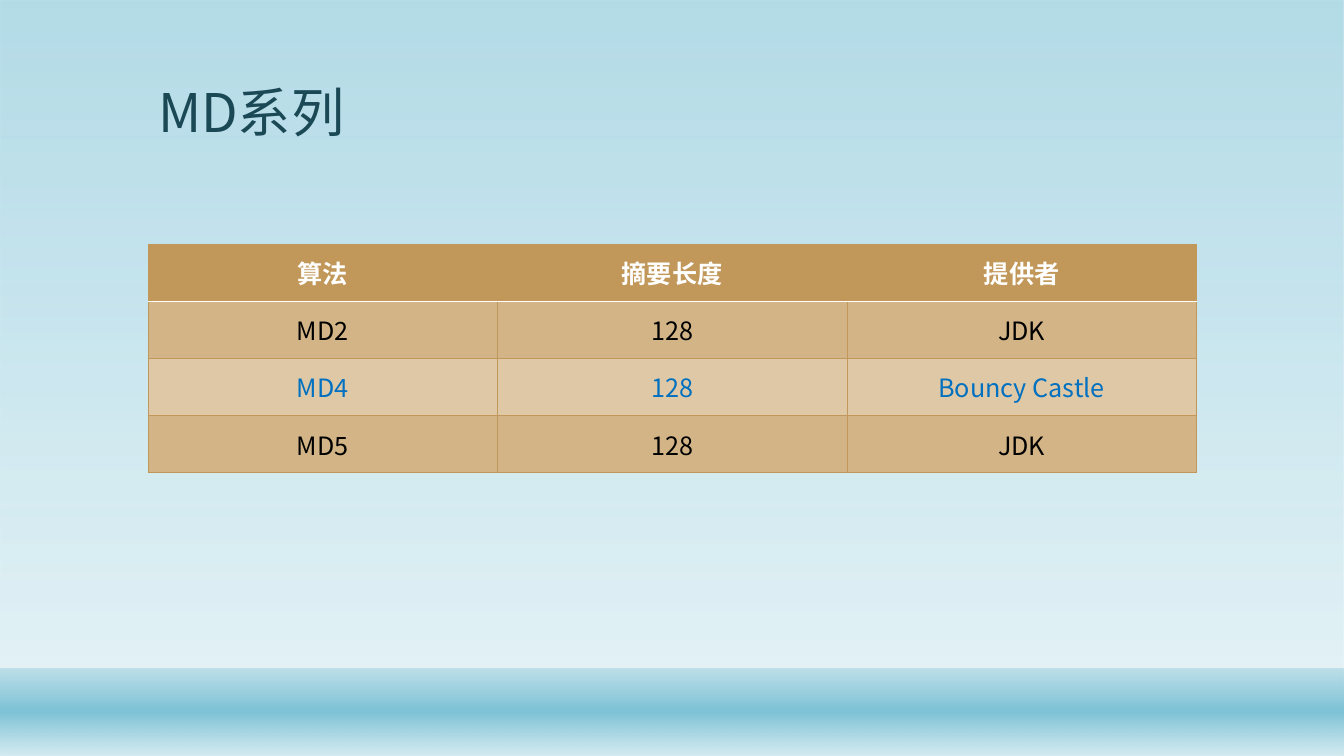
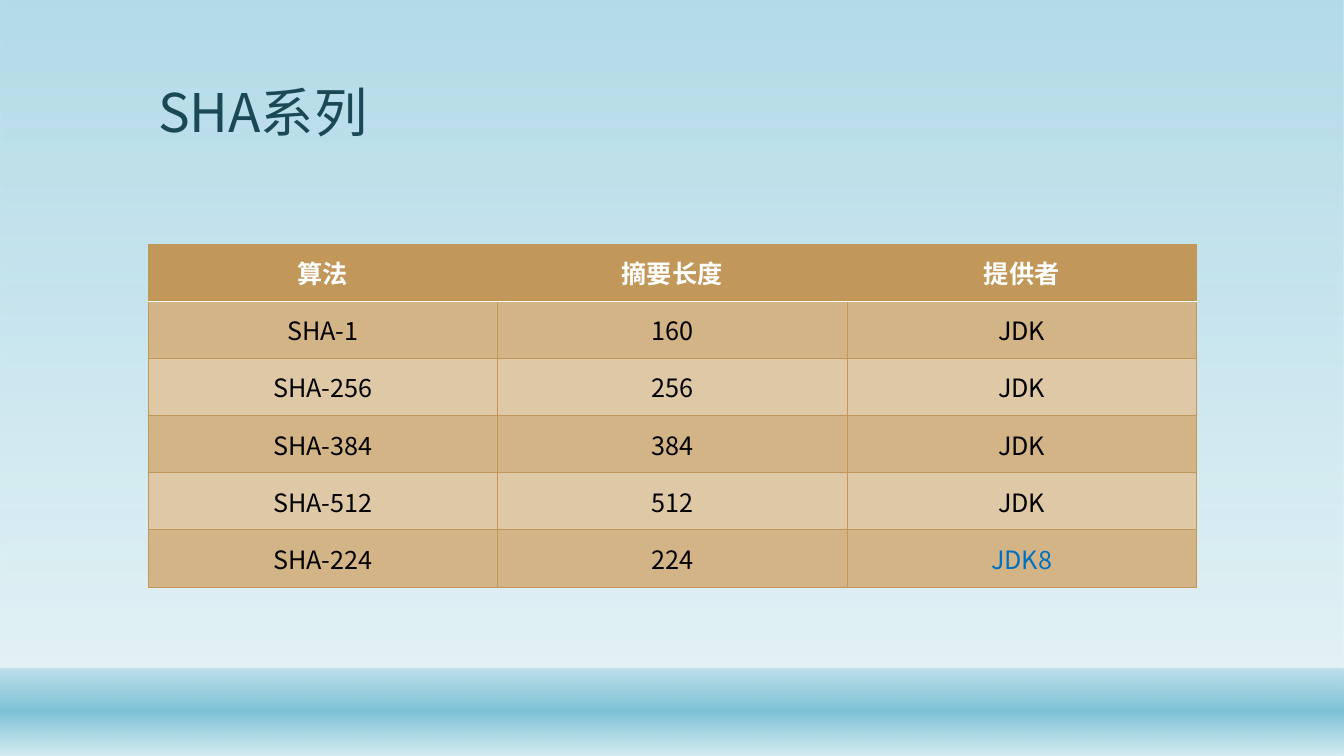
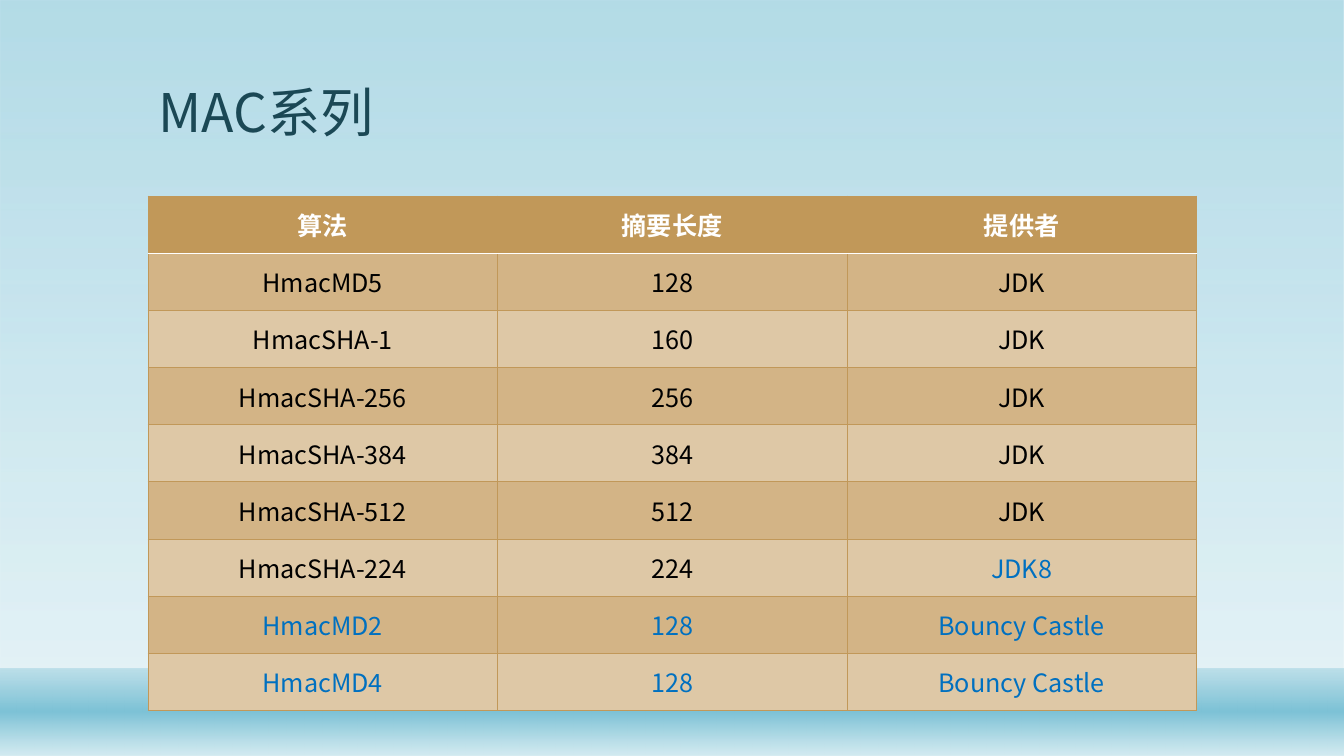
import pptx
import pptx.dml.color
import pptx.enum.shapes
import pptx.enum.text
import pptx.oxml
import pptx.oxml.ns
import pptx.util
from lxml import etree

Cm = pptx.util.Cm
Pt = pptx.util.Pt

COLORS = {
    "sky": "7DC2D6",
    "mist": "D4EBF1",
    "title": "1B4855",
    "header": "C19859",
    "dark_row": "D3B486",
    "light_row": "DEC8A6",
    "white": "FFFFFF",
    "black": "000000",
    "highlight": "0070C0",
}
FONT = "Noto Sans CJK SC"
HEADINGS = ("算法", "摘要长度", "提供者")
THIRD_PARTY = "Bouncy Castle"


def rgb(color):
    return pptx.dml.color.RGBColor.from_string(COLORS[color])


def write_text(text_frame, text, size=18, color="black", bold=False,
               alignment=pptx.enum.text.PP_ALIGN.LEFT, line_spacing=1.0):
    paragraph = text_frame.paragraphs[0]
    paragraph.alignment = alignment
    paragraph.line_spacing = line_spacing
    run = paragraph.add_run()
    run.text = text
    run.font.name = FONT
    run.font.size = Pt(size)
    run.font.bold = bold
    run.font.color.rgb = rgb(color)
    east_asian = etree.SubElement(run.font._element, pptx.oxml.ns.qn("a:ea"))
    east_asian.set("typeface", FONT)


class Deck:
    def __init__(self):
        self.presentation = pptx.Presentation()
        self.presentation.slide_width = Cm(33.87)
        self.presentation.slide_height = Cm(19.05)
        self.layout = self.presentation.slide_layouts[5]
        self.slide = None

    def add_slide(self, title):
        self.slide = self.presentation.slides.add_slide(self.layout)
        shape = self.slide.shapes.title
        shape.left, shape.top = Cm(3.73), Cm(0.74)
        shape.width, shape.height = Cm(26.42), Cm(3.02)
        text_frame = shape.text_frame
        text_frame.word_wrap = True
        text_frame.auto_size = pptx.enum.text.MSO_AUTO_SIZE.NONE
        text_frame.vertical_anchor = pptx.enum.text.MSO_ANCHOR.BOTTOM
        write_text(text_frame, title, size=38, color="title", line_spacing=0.9)

    def add_master_band(self, position, top, height, stops):
        shape = self.slide.shapes.add_shape(
            pptx.enum.shapes.MSO_SHAPE.RECTANGLE, 0, Cm(top),
            self.presentation.slide_width, Cm(height))
        shape.shadow.inherit = False
        shape.line.fill.background()
        stop_xml = "".join(
            f'<a:gs pos="{place * 1000}"><a:srgbClr val="{COLORS[color]}">'
            f'<a:alpha val="{opacity * 1000}"/></a:srgbClr></a:gs>'
            for place, color, opacity in stops)
        gradient = pptx.oxml.parse_xml(
            f'<a:gradFill {pptx.oxml.ns.nsdecls("a")} rotWithShape="1">'
            f'<a:gsLst>{stop_xml}</a:gsLst>'
            '<a:lin ang="5400000" scaled="0"/></a:gradFill>')
        shape.element.spPr.find(pptx.oxml.ns.qn("a:prstGeom")).addnext(gradient)
        master = self.presentation.slide_master
        master.shapes.element.insert(2 + position, shape.element)

    def add_border(self, cell, side, color, width):
        border = pptx.oxml.parse_xml(
            f'<a:ln{side} {pptx.oxml.ns.nsdecls("a")} w="{Pt(width)}">'
            f'<a:solidFill><a:srgbClr val="{COLORS[color]}"/></a:solidFill>'
            f'</a:ln{side}>')
        cell._tc.get_or_add_tcPr().append(border)

    def format_cell(self, cell, text, row, color):
        cell.vertical_anchor = pptx.enum.text.MSO_ANCHOR.MIDDLE
        white_sides = {0: "B", 1: "T"}
        for side in "LRTB":
            if white_sides.get(row) == side:
                self.add_border(cell, side, "white", 1)
            else:
                self.add_border(cell, side, "header", 0.5)
        cell.fill.solid()
        band = "dark_row" if row % 2 else "light_row"
        cell.fill.fore_color.rgb = rgb(band if row else "header")
        write_text(cell.text_frame, text, color=color, bold=row == 0,
                   alignment=pptx.enum.text.PP_ALIGN.CENTER)

    def add_algorithm_table(self, top, algorithms):
        records = [HEADINGS, *algorithms]
        row_height = 1.44
        table = self.slide.shapes.add_table(
            len(records), len(HEADINGS), Cm(3.73), Cm(top),
            Cm(26.42), Cm(row_height * len(records))).table
        for row, record in enumerate(records):
            table.rows[row].height = Cm(row_height)
            for column, text in enumerate(record):
                if row == 0:
                    color = "white"
                elif THIRD_PARTY in record or text == "JDK8":
                    color = "highlight"
                else:
                    color = "black"
                self.format_cell(table.cell(row, column), text, row, color)


SERIES = [
    ("MD系列", 6.15, [
        ("MD2", "128", "JDK"),
        ("MD4", "128", THIRD_PARTY),
        ("MD5", "128", "JDK"),
    ]),
    ("SHA系列", 6.15, [
        ("SHA-1", "160", "JDK"),
        ("SHA-256", "256", "JDK"),
        ("SHA-384", "384", "JDK"),
        ("SHA-512", "512", "JDK"),
        ("SHA-224", "224", "JDK8"),
    ]),
    ("MAC系列", 4.94, [
        ("HmacMD5", "128", "JDK"),
        ("HmacSHA-1", "160", "JDK"),
        ("HmacSHA-256", "256", "JDK"),
        ("HmacSHA-384", "384", "JDK"),
        ("HmacSHA-512", "512", "JDK"),
        ("HmacSHA-224", "224", "JDK8"),
        ("HmacMD2", "128", THIRD_PARTY),
        ("HmacMD4", "128", THIRD_PARTY),
    ]),
]

deck = Deck()
for title, table_top, algorithms in SERIES:
    deck.add_slide(title)
    deck.add_algorithm_table(table_top, algorithms)
deck.add_master_band(0, 0, 19.05, [(0, "sky", 58), (88, "mist", 65)])
deck.add_master_band(1, 16.84, 2.21, [
    (1, "sky", 38), (49, "sky", 100), (100, "mist", 89)])
deck.presentation.save("out.pptx")
